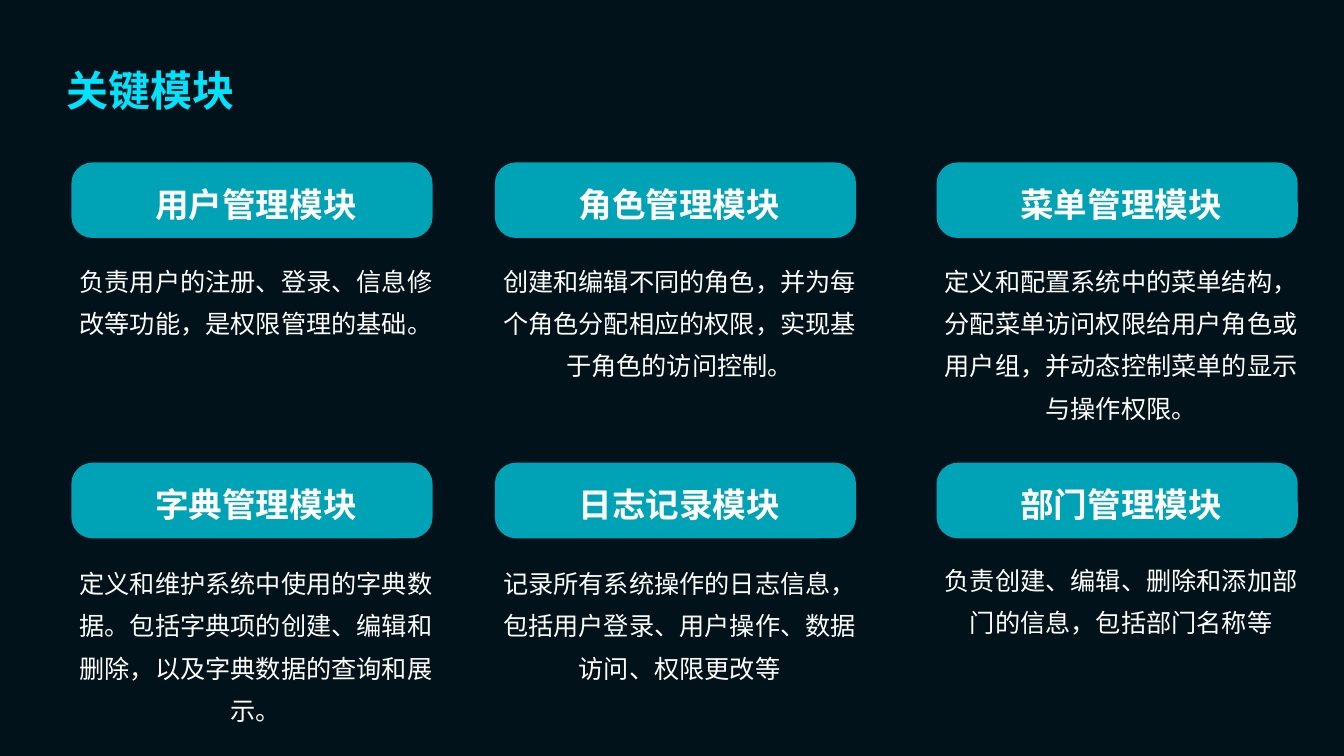
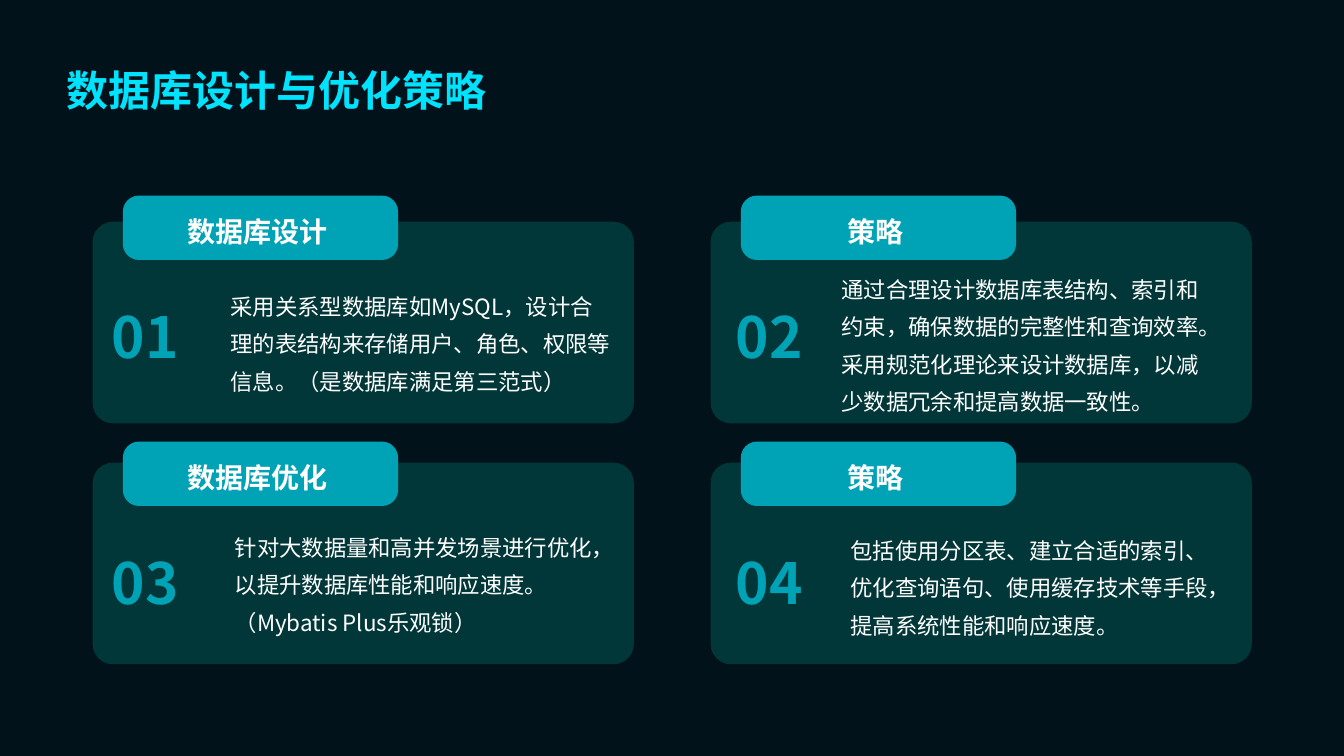
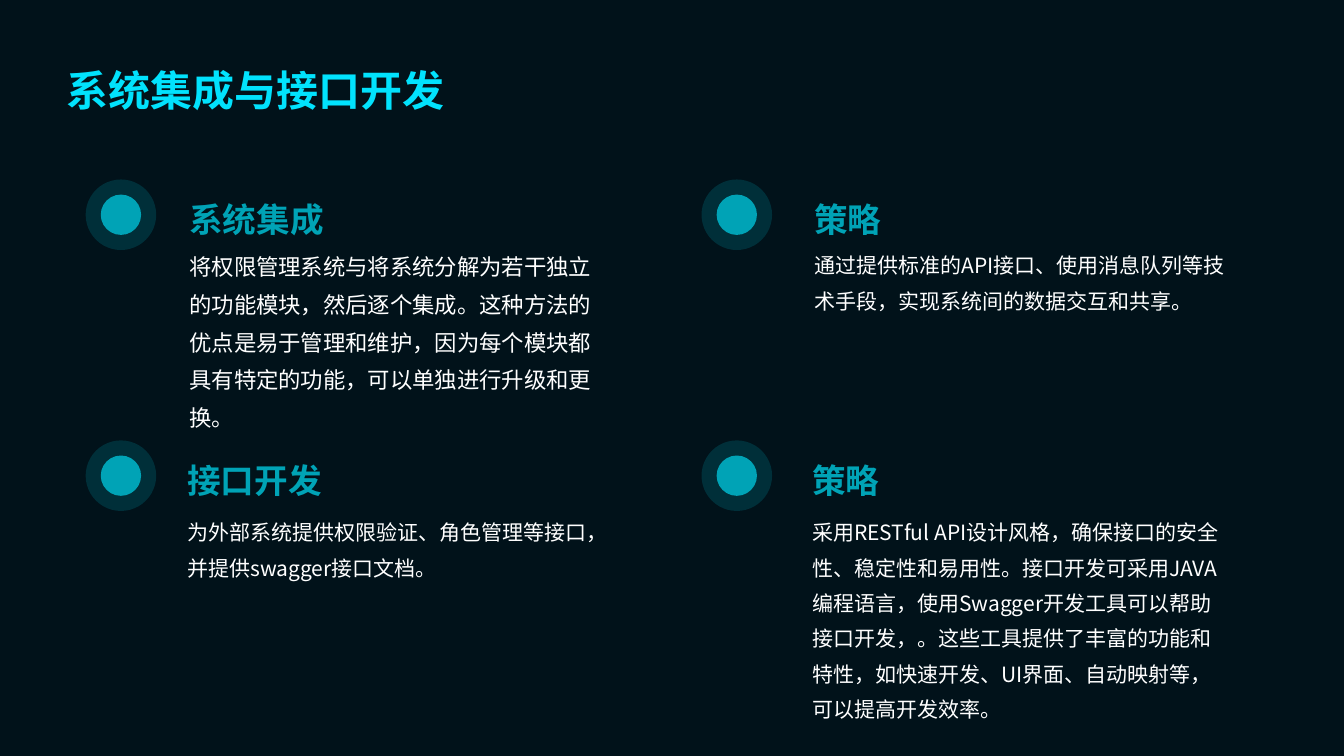
from dataclasses import dataclass

from lxml.etree import SubElement
from pptx import Presentation
from pptx.dml.color import RGBColor
from pptx.enum.shapes import MSO_SHAPE as Preset
from pptx.enum.text import MSO_ANCHOR as Anchor, PP_ALIGN as Align
from pptx.oxml.ns import qn
from pptx.shapes.autoshape import Shape
from pptx.slide import Slide
from pptx.util import Pt

FONT = "Noto Sans CJK SC"
COLORS = {
    "background": "01121A",
    "title": "01E2FD",
    "accent": "00A3B6",
    "panel": "014140",
    "text": "FFFFFF",
    "tab_text": "FFFDFD",
}
WIDE_INSETS = (10, 10, 4.4, 10)
PLAIN_INSETS = (7.2, 3.6, 7.2, 3.6)
NO_INSETS = (0, 0, 0, 0)


@dataclass(frozen=True)
class Box:
    left: float
    top: float
    width: float
    height: float

    def lengths(self) -> tuple[Pt, Pt, Pt, Pt]:
        return Pt(self.left), Pt(self.top), Pt(self.width), Pt(self.height)


@dataclass(frozen=True)
class TextStyle:
    size: float
    color: str = "text"
    bold: bool = False
    align: Align = Align.LEFT
    spacing: float = 1.4
    anchor: Anchor = Anchor.TOP
    insets: tuple[float, float, float, float] = WIDE_INSETS
    wrap: bool = True


TITLE = TextStyle(30, "title", True, anchor=Anchor.MIDDLE)
MODULE_NAME = TextStyle(24, "text", True, Align.CENTER, 1.2, Anchor.MIDDLE)
MODULE_BODY = TextStyle(18, align=Align.CENTER)
TAB_NAME = TextStyle(20, "tab_text", True, Align.CENTER, 1.2, Anchor.MIDDLE, (7.2, 3.6, 10.8, 3.6))
PANEL_BODY = TextStyle(16, insets=PLAIN_INSETS)
PANEL_NUMBER = TextStyle(40.5, "accent", True, spacing=1.0, anchor=Anchor.MIDDLE,
                         insets=NO_INSETS, wrap=False)
TOPIC_NAME = TextStyle(24, "accent", True, spacing=1.2, anchor=Anchor.BOTTOM)


@dataclass(frozen=True)
class Module:
    name: str
    body: str
    body_top: float


@dataclass(frozen=True)
class Panel:
    name: str
    body: str
    body_left: float
    body_top: float
    body_width: float = 273


@dataclass(frozen=True)
class Topic:
    name: str
    body: str
    text_left: float
    body_width: float = 307.4
    body_size: float = 15


MODULES = [
    Module("用户管理模块", "负责用户的注册、登录、信息修改等功能，是权限管理的基础。", 171.4),
    Module("角色管理模块", "创建和编辑不同的角色，并为每个角色分配相应的权限，实现基于角色的访问控制。", 171.4),
    Module("菜单管理模块", "定义和配置系统中的菜单结构，分配菜单访问权限给用户角色或用户组，"
           "并动态控制菜单的显示与操作权限。", 171.4),
    Module("字典管理模块", "定义和维护系统中使用的字典数据。包括字典项的创建、编辑和删除，"
           "以及字典数据的查询和展示。", 387.4),
    Module("日志记录模块", "记录所有系统操作的日志信息，包括用户登录、用户操作、数据访问、权限更改等", 387.4),
    Module("部门管理模块", "负责创建、编辑、删除和添加部门的信息，包括部门名称等", 385.2),
]
PANELS = [
    Panel("数据库设计", "采用关系型数据库如MySQL，设计合理的表结构来存储用户、角色、权限等信息。"
          "（是数据库满足第三范式）", 157.7, 198, 285.8),
    Panel("策略", "通过合理设计数据库表结构、索引和约束，确保数据的完整性和查询效率。"
          "采用规范化理论来设计数据库，以减少数据冗余和提高数据一致性。", 594, 185.8),
    Panel("数据库优化", "针对大数据量和高并发场景进行优化，以提升数据库性能和响应速度。"
          "（Mybatis Plus乐观锁）", 160.6, 370),
    Panel("策略", "包括使用分区表、建立合适的索引、优化查询语句、使用缓存技术等手段，"
          "提高系统性能和响应速度。", 600.5, 372.2),
]
TOPICS = [
    Topic("系统集成", "将权限管理系统与将系统分解为若干独立的功能模块，然后逐个集成。"
          "这种方法的优点是易于管理和维护，因为每个模块都具有特定的功能，可以单独进行升级和更换。",
          125.3, 312.5, 16),
    Topic("策略", "通过提供标准的API接口、使用消息队列等技术手段，实现系统间的数据交互和共享。", 571.7),
    Topic("接口开发", "为外部系统提供权限验证、角色管理等接口，并提供swagger接口文档。", 123.8),
    Topic("策略", "采用RESTful API设计风格，确保接口的安全性、稳定性和易用性。"
          "接口开发可采用JAVA编程语言，使用Swagger开发工具可以帮助接口开发，。"
          "这些工具提供了丰富的功能和特性，如快速开发、UI界面、自动映射等，可以提高开发效率。", 570.2),
]


def write(shape: Shape, text: str, style: TextStyle) -> None:
    frame = shape.text_frame
    frame.word_wrap = style.wrap
    frame.vertical_anchor = style.anchor
    (frame.margin_left, frame.margin_top,
     frame.margin_right, frame.margin_bottom) = map(Pt, style.insets)
    paragraph = frame.paragraphs[0]
    paragraph.text = text
    paragraph.alignment = style.align
    paragraph.line_spacing = style.spacing
    font = paragraph.font
    font.size = Pt(style.size)
    font.bold = style.bold
    font.color.rgb = RGBColor.from_string(COLORS[style.color])
    font.name = FONT
    defaults = paragraph._p.pPr.find(qn("a:defRPr"))
    SubElement(defaults, qn("a:ea"), typeface=FONT)


def add_text(slide: Slide, box: Box, text: str, style: TextStyle) -> None:
    write(slide.shapes.add_textbox(*box.lengths()), text, style)


def add_filled(slide: Slide, preset: Preset, box: Box, color: str,
               radius: float | None = None, opacity: int = 100) -> Shape:
    """Add a borderless shape; radius is the corner adjustment, opacity a percentage."""
    shape = slide.shapes.add_shape(preset, *box.lengths())
    shape.shadow.inherit = False
    shape.line.fill.background()
    shape.fill.solid()
    shape.fill.fore_color.rgb = RGBColor.from_string(COLORS[color])
    if radius is not None:
        shape.adjustments[0] = radius
    if opacity < 100:
        fill_color = shape._element.spPr.find(qn("a:solidFill")).find(qn("a:srgbClr"))
        SubElement(fill_color, qn("a:alpha"), val=str(opacity * 1000))
    return shape


def add_titled_slide(presentation: Presentation, title: str) -> Slide:
    slide = presentation.slides.add_slide(presentation.slide_layouts[6])
    add_text(slide, Box(37.4, 20.9, 885, 72), title, TITLE)
    return slide


def add_modules(slide: Slide) -> None:
    lefts, tops = (51, 353.5, 669), (116, 330.5)
    for index, module in enumerate(MODULES):
        row, column = divmod(index, len(lefts))
        left = lefts[column]
        pill = add_filled(slide, Preset.ROUNDED_RECTANGLE, Box(left, tops[row], 258, 54),
                          "accent", 0.28)
        write(pill, module.name, MODULE_NAME)
        add_text(slide, Box(left - 6.4, module.body_top, 270.8, 99.4), module.body, MODULE_BODY)


def add_panels(slide: Slide) -> None:
    lefts, number_lefts = (66.2, 507.6), (80, 525.6)
    tops, tab_tops = (158.4, 330.5), (139.7, 315.4)
    for index, panel in enumerate(PANELS):
        row, column = divmod(index, len(lefts))
        left, tab_top = lefts[column], tab_tops[row]
        add_filled(slide, Preset.ROUNDED_RECTANGLE, Box(left, tops[row], 386.6, 144),
                   "panel", 0.1, opacity=80)
        tab = add_filled(slide, Preset.ROUNDED_RECTANGLE, Box(left + 21.6, tab_top, 196.6, 46),
                         "accent", 0.25)
        write(tab, panel.name, TAB_NAME)
        add_text(slide, Box(number_lefts[column], tab_top + 65.5, 68.4, 69.8),
                 f"{index + 1:02}", PANEL_NUMBER)
        add_text(slide, Box(panel.body_left, panel.body_top, panel.body_width, 90.7),
                 panel.body, PANEL_BODY)


def add_topics(slide: Slide) -> None:
    lefts, tops, body_tops = (61.2, 501.1), (128.2, 314.6), (163.4, 354.2)
    halo, core = 50.4, 28.8
    inset = (halo - core) / 2
    for index, topic in enumerate(TOPICS):
        row, column = divmod(index, len(lefts))
        left, top = lefts[column], tops[row]
        add_filled(slide, Preset.OVAL, Box(left, top, halo, halo), "accent", opacity=20)
        add_filled(slide, Preset.OVAL, Box(left + inset, top + inset, core, core), "accent")
        add_text(slide, Box(topic.text_left, top - 2.2, 307.4, 54.7), topic.name, TOPIC_NAME)
        add_text(slide, Box(topic.text_left, body_tops[row], topic.body_width, 121),
                 topic.body, TextStyle(topic.body_size))


def main() -> None:
    presentation = Presentation()
    presentation.slide_width, presentation.slide_height = Pt(960), Pt(540)
    background = presentation.slide_master.background.fill
    background.solid()
    background.fore_color.rgb = RGBColor.from_string(COLORS["background"])
    add_modules(add_titled_slide(presentation, "关键模块"))
    add_panels(add_titled_slide(presentation, "数据库设计与优化策略"))
    add_topics(add_titled_slide(presentation, "系统集成与接口开发"))
    presentation.save("out.pptx")


if __name__ == "__main__":
    main()
